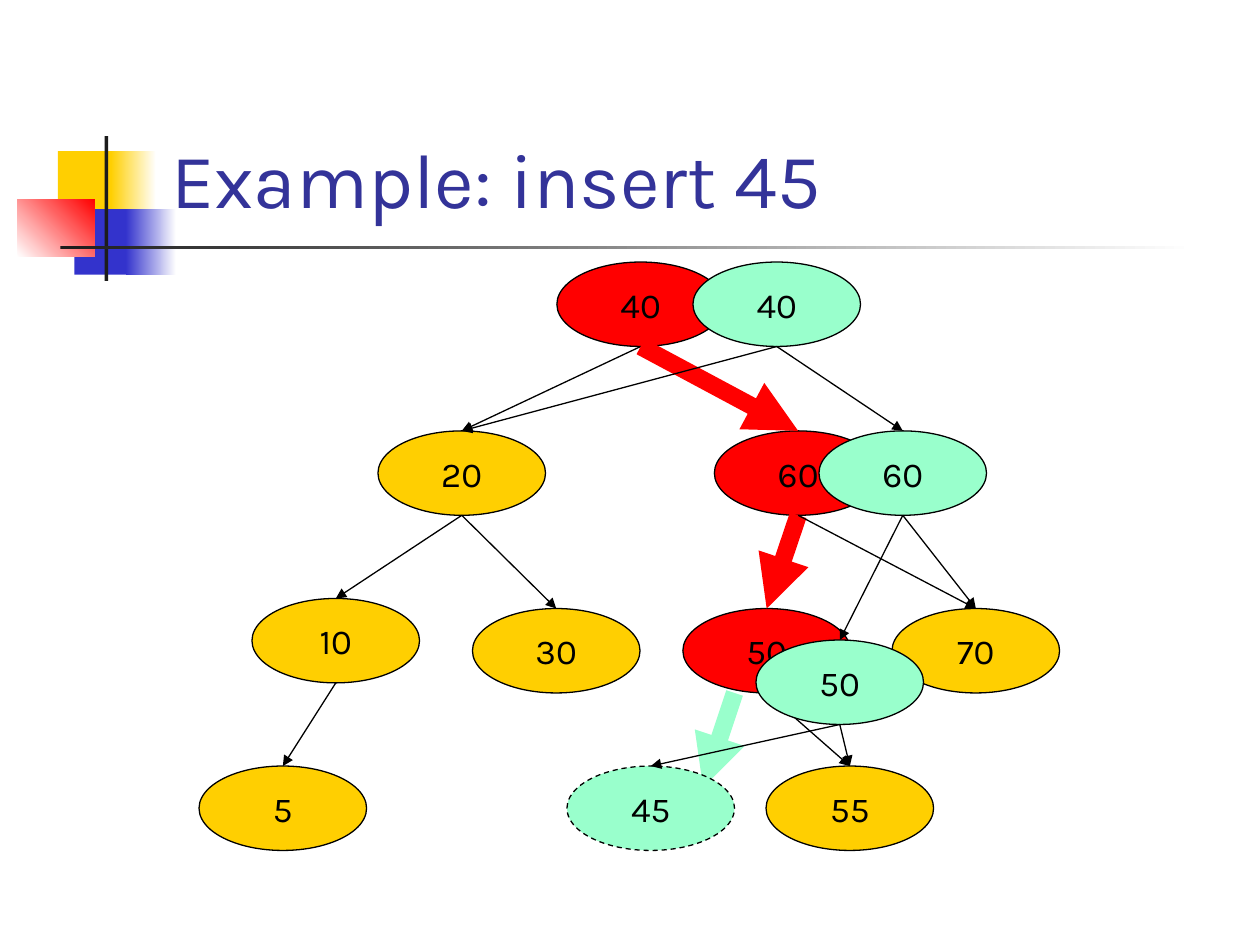
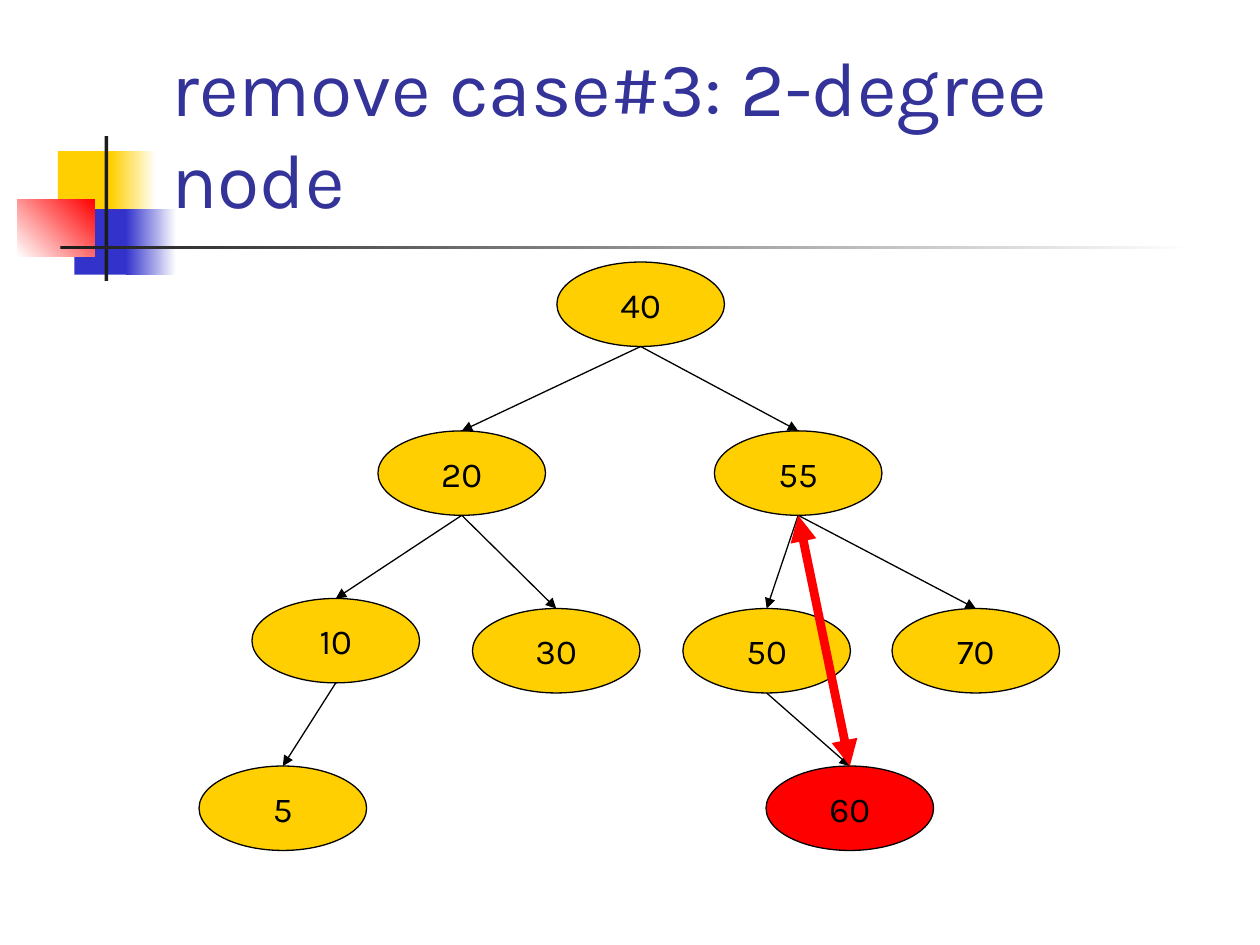
from lxml.etree import SubElement
from pptx import Presentation
from pptx.dml.color import RGBColor
from pptx.enum.dml import MSO_LINE
from pptx.enum.shapes import MSO_CONNECTOR, MSO_SHAPE
from pptx.enum.text import MSO_ANCHOR, MSO_AUTO_SIZE, PP_ALIGN
from pptx.oxml.ns import qn
from pptx.util import Inches, Pt

COLORS = {
    "yellow": "FFCF01", "red": "FF0000", "mint": "99FFCC", "blue": "3333CC",
    "white": "FFFFFF", "black": "000000", "rule": "1C1C1C", "title": "333399",
}
NODE_WIDTH, NODE_HEIGHT = 1.33, 0.67

TITLE_FONT = {"name": "Karla", "size": Pt(44), "bold": False}
TITLE_FRAME = {"vertical_anchor": MSO_ANCHOR.BOTTOM, "word_wrap": True,
               "auto_size": MSO_AUTO_SIZE.NONE}
NODE_FONT = {"name": "Karla", "size": Pt(20)}
NODE_FRAME = {"vertical_anchor": MSO_ANCHOR.MIDDLE, "word_wrap": False}

BAND = [
    (0.46, 1.2, 0.48, 0.52, ["yellow"], 0),
    (0.88, 1.2, 0.36, 0.52, ["yellow", "white"], 0),
    (0.59, 1.66, 0.46, 0.52, ["blue"], 0),
    (1, 1.66, 0.4, 0.52, ["blue", "white"], 0),
    (0.14, 1.58, 0.61, 0.46, ["white", "red"], 45),
    (0.83, 1.08, 0.03, 1.15, ["rule"], 0),
    (0.48, 1.95, 9, 0.03, ["rule", "white"], 0),
]

TREE = {
    "root": (4.42, 2.08), "left": (3, 3.42), "right": (5.67, 3.42),
    "left left": (2, 4.75), "left right": (3.75, 4.83),
    "right left": (5.42, 4.83), "right right": (7.08, 4.83),
    "left leaf": (1.58, 6.08), "right leaf": (6.08, 6.08),
}
TREE_EDGES = [
    ("root", "left"), ("root", "right"), ("left", "left left"),
    ("left", "left right"), ("right", "left"), ("right", "right"),
    ("left left", "left leaf"), ("right left", "right leaf"),
]
TREE_EDGES[4:6] = [("right", "right left"), ("right", "right right")]

COPIES = {
    "new leaf": (4.5, 6.08), "right left copy": (6, 5.08),
    "right copy": (6.5, 3.42), "root copy": (5.5, 2.08),
}
COPY_EDGES = [
    ("right left copy", "right leaf"), ("right left copy", "new leaf"),
    ("right copy", "right right"), ("right copy", "right left copy"),
    ("root copy", "right copy"), ("root copy", "left"),
]
PLACES = TREE | COPIES


def rgb(color):
    return RGBColor.from_string(COLORS[color])


def apply(target, values):
    for attribute, value in values.items():
        setattr(target, attribute, value)


def add_band_block(slide, left, top, width, height, colors, angle):
    block = slide.shapes.add_shape(
        MSO_SHAPE.RECTANGLE, *map(Inches, (left, top, width, height)))
    block.shadow.inherit = False
    block.line.fill.background()
    if len(colors) == 1:
        block.fill.solid()
        block.fill.fore_color.rgb = rgb(colors[0])
        return
    block.fill.gradient()
    block.fill.gradient_angle = angle
    for stop, color in zip(block.fill.gradient_stops, colors):
        stop.color.rgb = rgb(color)


def add_titled_slide(prs, heading):
    slide = prs.slides.add_slide(prs.slide_layouts[5])
    for block in BAND:
        add_band_block(slide, *block)
    title = slide.shapes.title
    slide.shapes.element.append(title.element)
    apply(title, {"left": Inches(1.26), "top": Inches(0.23),
                  "width": Inches(8.52), "height": Inches(1.6)})
    apply(title.text_frame, TITLE_FRAME)
    title.text_frame.text = heading
    paragraph = title.text_frame.paragraphs[0]
    paragraph.alignment = PP_ALIGN.LEFT
    apply(paragraph.font, TITLE_FONT)
    paragraph.font.color.rgb = rgb("title")
    return slide


def add_node(slide, place, key, color, dash=None):
    left, top = PLACES[place]
    node = slide.shapes.add_shape(
        MSO_SHAPE.OVAL, *map(Inches, (left, top, NODE_WIDTH, NODE_HEIGHT)))
    node.shadow.inherit = False
    node.fill.solid()
    node.fill.fore_color.rgb = rgb(color)
    node.line.color.rgb = rgb("black")
    apply(node.line, {"width": Pt(0.75), "dash_style": dash})
    apply(node.text_frame, NODE_FRAME)
    node.text_frame.text = str(key)
    paragraph = node.text_frame.paragraphs[0]
    paragraph.alignment = PP_ALIGN.CENTER
    apply(paragraph.font, NODE_FONT)
    paragraph.font.color.rgb = rgb("black")


def add_arrow(slide, start, end, color="black", width=0.75, ends=("tailEnd",)):
    arrow = slide.shapes.add_connector(
        MSO_CONNECTOR.STRAIGHT, *map(Inches, (*start, *end)))
    arrow.line.color.rgb = rgb(color)
    arrow.line.width = Pt(width)
    properties = arrow.element.spPr
    outline = properties.find(qn("a:ln"))
    for end_name in ends:
        SubElement(outline, qn(f"a:{end_name}"), type="triangle")
    SubElement(properties, qn("a:effectLst"))


def add_edge(slide, parent, child, **style):
    (parent_left, parent_top), (child_left, child_top) = PLACES[parent], PLACES[child]
    add_arrow(slide, (parent_left + NODE_WIDTH / 2, parent_top + NODE_HEIGHT),
              (child_left + NODE_WIDTH / 2, child_top), **style)


def add_tree(slide, keys, red_nodes, red_edges=()):
    for place, key in zip(TREE, keys):
        add_node(slide, place, key, "red" if place in red_nodes else "yellow")
    for edge in TREE_EDGES:
        style = {"color": "red", "width": 10} if edge in red_edges else {}
        add_edge(slide, *edge, **style)


def add_insert_slide(prs):
    slide = add_titled_slide(prs, "Example: insert 45")
    search = ["root", "right", "right left"]
    add_tree(slide, [40, 20, 60, 10, 30, 50, 70, 5, 55], search,
             list(zip(search, search[1:])))
    add_arrow(slide, (5.83, 5.5), (5.58, 6.25), "mint", 10)
    for place, key in zip(COPIES, [45, 50, 60, 40]):
        dash = MSO_LINE.DASH if place == "new leaf" else None
        add_node(slide, place, key, "mint", dash)
    for edge in COPY_EDGES:
        add_edge(slide, *edge)


def add_remove_slide(prs):
    slide = add_titled_slide(prs, "remove case#3: 2-degree node")
    add_tree(slide, [40, 20, 55, 10, 30, 50, 70, 5, 60], ["right leaf"])
    add_edge(slide, "right", "right leaf", color="red", width=5,
             ends=("headEnd", "tailEnd"))


def main():
    prs = Presentation()
    prs.slide_width, prs.slide_height = Inches(10), Inches(7.5)
    add_insert_slide(prs)
    add_remove_slide(prs)
    prs.save("out.pptx")


if __name__ == "__main__":
    main()
